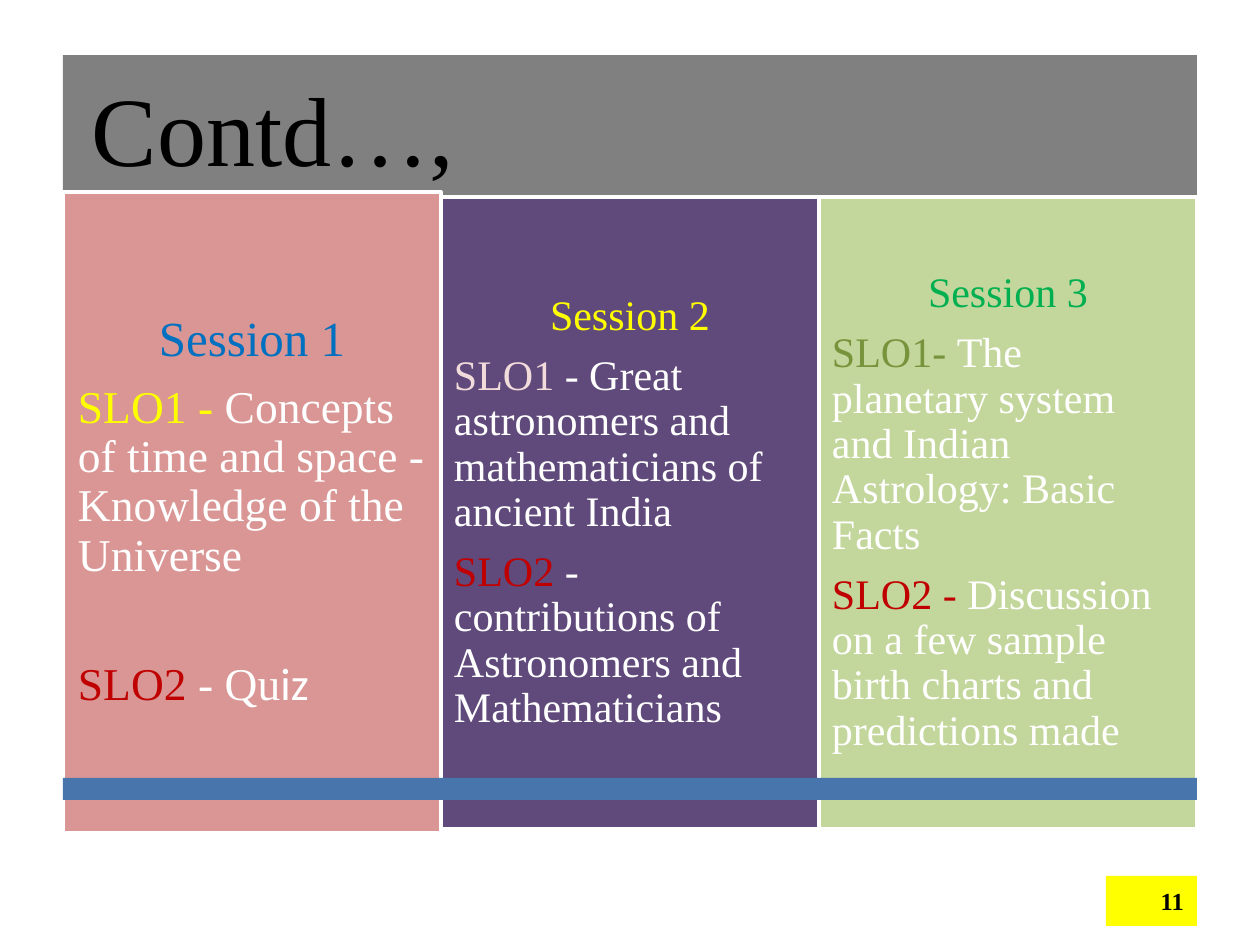
from pptx import Presentation
from pptx.dml.color import RGBColor
from pptx.enum.shapes import MSO_SHAPE
from pptx.enum.text import MSO_ANCHOR, PP_ALIGN
from pptx.util import Emu, Pt

PX = 914400 / 126
SERIF = "Times New Roman"
WHITE, BLACK, YELLOW, RED = "FFFFFF", "000000", "FFFF00", "C00000"


def add_box(left, top, width, height, fill, inset=0, line=None):
    """Add a plain rectangle, measured in px, with text anchored in the middle."""
    box = slide.shapes.add_shape(
        MSO_SHAPE.RECTANGLE, *(Emu(round(v * PX)) for v in (left, top, width, height)))
    box.shadow.inherit = False
    box.fill.solid()
    box.fill.fore_color.rgb = RGBColor.from_string(fill)
    if line:
        box.line.color.rgb = RGBColor.from_string(line)
        box.line.width = Pt(2)
    else:
        box.line.fill.background()
    frame = box.text_frame
    frame.word_wrap = True
    frame.vertical_anchor = MSO_ANCHOR.MIDDLE
    frame.margin_left = frame.margin_right = Emu(round(inset * PX))
    frame.margin_top = frame.margin_bottom = Emu(round(inset * PX))
    return box


def add_text(box, paragraphs, spacing=0.9):
    """Fill a box from (alignment, size, extra space after, spans) rows."""
    frame = box.text_frame
    for index, (alignment, size, extra, spans) in enumerate(paragraphs):
        para = frame.add_paragraph() if index else frame.paragraphs[0]
        para.alignment = alignment
        para.line_spacing = spacing
        para.space_after = Pt(round(0.35 * size + extra, 1))
        for text, color, *font in spans:
            span = para.add_run()
            span.text = text
            span.font.size = Pt(size)
            span.font.name = font[0] if font else SERIF
            span.font.color.rgb = RGBColor.from_string(color)


deck = Presentation()
deck.slide_width, deck.slide_height = Emu(9144000), Emu(6858000)
slide = deck.slides.add_slide(deck.slide_layouts[6])

LEFT, WIDTH = 63, 1134
COLUMN = WIDTH // 3

title = add_box(LEFT, 55, WIDTH, 160, "808080", inset=29)
add_text(title, [(PP_ALIGN.LEFT, 56, 0, [("Contd…,", BLACK)])])

# top, height, inset, fill, heading colour, heading size, body size,
# space between the outcomes, outcomes
sessions = [
    (192, 641, 15, "D99694", "0070C0", 28, 26, 37, [
        [("SLO1 -", YELLOW),
         (" Concepts of time and space - Knowledge of the Universe", WHITE)],
        [("SLO2 ", RED), ("- Qu", WHITE), ("iz", WHITE, "Calibri")]]),
    (197, 632, 13, "604A7B", YELLOW, 24, 24, 0, [
        [("SLO1 ", "F2DCDB"),
         ("- Great astronomers and mathematicians of ancient India", WHITE)],
        [("SLO2", RED),
         (" - contributions of Astronomers and Mathematicians", WHITE)]]),
    (197, 632, 13, "C3D69B", "00B050", 24, 24, 0, [
        [("SLO1- ", "77933C"),
         ("The planetary system and Indian Astrology: Basic Facts", WHITE)],
        [("SLO2 - ", RED),
         ("Discussion on a few sample birth charts and predictions made", WHITE)]]),
]
for number, session in enumerate(sessions, start=1):
    top, height, inset, fill, heading, heading_size, size, gap, (first, second) = session
    column = add_box(LEFT + (number - 1) * COLUMN, top, COLUMN, height, fill, inset, WHITE)
    add_text(column, [
        (PP_ALIGN.CENTER, heading_size, 0, [(f"Session {number}", heading)]),
        (PP_ALIGN.LEFT, size, gap, first),
        (PP_ALIGN.LEFT, size, 0, second),
    ])

add_box(LEFT, 778, WIDTH, 22, "4875AC")

page_number = add_box(1106, 876, 91, 50, YELLOW, inset=13)
add_text(page_number, [(PP_ALIGN.RIGHT, 14, -4.9, [("11", BLACK)])], spacing=1.0)
page_number.text_frame.paragraphs[0].runs[0].font.bold = True

deck.save("out.pptx")
